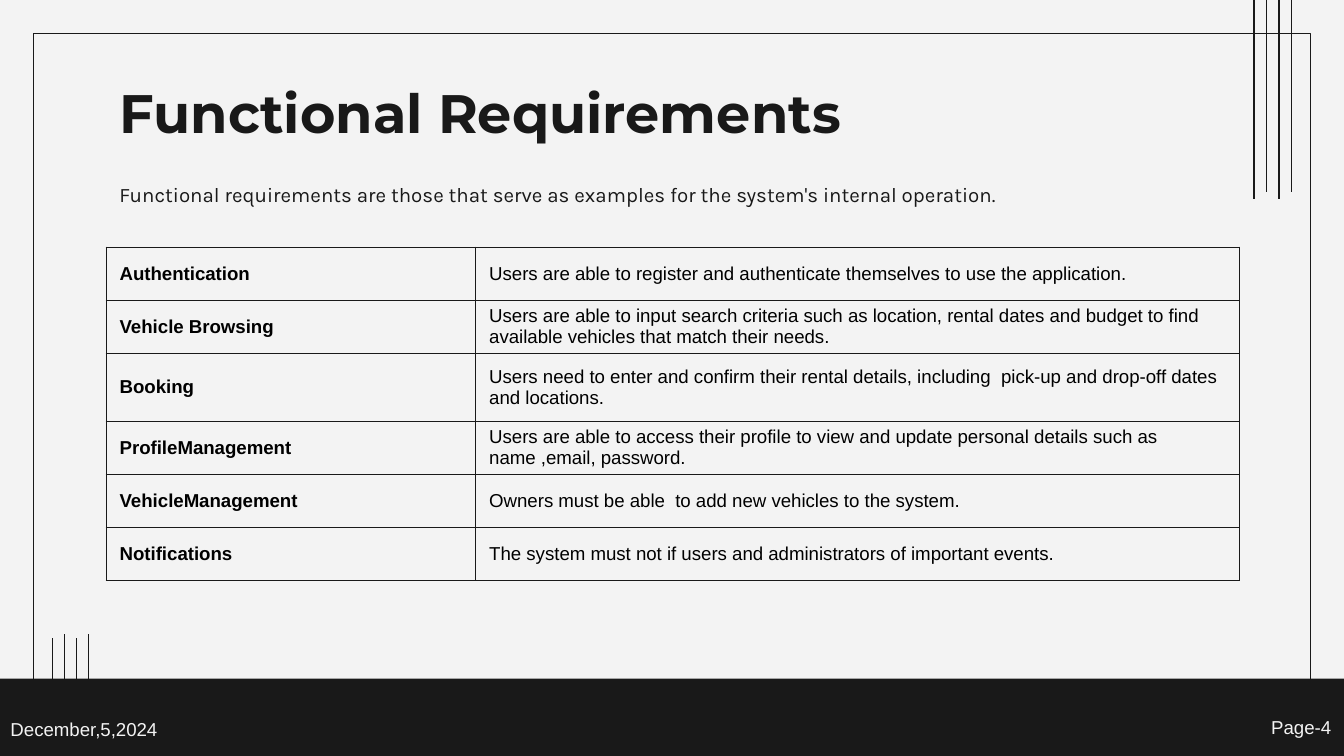
"""Builds the functional requirements slide."""
from lxml.etree import SubElement
from pptx import Presentation
from pptx.dml.color import RGBColor as RGB
from pptx.enum.shapes import MSO_CONNECTOR as CONN, MSO_SHAPE as SHAPE
from pptx.enum.text import MSO_ANCHOR as ANCHOR
from pptx.oxml.ns import qn
from pptx.util import Inches, Pt

THEME = {
    "paper": "F3F3F3", "ink": "191919", "black": "000000",
    "line": 0.75, "title": 29, "lead": 11, "small": 10,
    "heading": "Montserrat", "body": "Karla", "plain": "Arial",
}
TITLE = "Functional Requirements"
LEAD = "Functional requirements are those that serve as examples for the system's internal operation."
REQUIREMENTS = [
    ("Authentication", "Users are able to register and authenticate themselves to use the application."),
    ("Vehicle Browsing", "Users are able to input search criteria such as location, rental dates and budget to find available vehicles that match their needs."),
    ("Booking", "Users need to enter and confirm their rental details, including  pick-up and drop-off dates and locations."),
    ("ProfileManagement", "Users are able to access their profile to view and update personal details such as name ,email, password."),
    ("VehicleManagement", "Owners must be able  to add new vehicles to the system."),
    ("Notifications", "The system must not if users and administrators of important events."),
]
FOOTERS = [("Page-4", (9.36, 5.28, 0.81, 0.27)), ("December,5,2024", (-0.02, 5.29, 1.64, 0.27))]
LEFT, WIDTH = 0.79, 8.43
TABLE_TOP, TABLE_HEIGHT = 1.84, 2.48
COL_WIDTHS = [2.75, 5.68]
ROW_SHARES = [0.4, 0.4, 0.51, 0.4, 0.4, 0.4]
STRIPES = [
    {"x": 9.33, "span": 0.28, "tops": (-0.25, -0.3), "length": 1.73},
    {"x": 0.39, "span": 0.27, "tops": (4.75, 4.72), "length": 0.99},
]


def color(name):
    return RGB.from_string(THEME[name])


def write(tf, text, size="small", font="plain", ink="ink", bold=False):
    tf.word_wrap = True
    r = tf.paragraphs[0].add_run()
    r.text = text
    r.font.size, r.font.name, r.font.bold = Pt(THEME[size]), THEME[font], bold
    r.font.color.rgb = color(ink)


def add_text(s, box, text, inset=(0.1, 0.05), **style):
    tf = s.shapes.add_textbox(*map(Inches, box)).text_frame
    tf.margin_left = tf.margin_right = Inches(inset[0])
    tf.margin_top = tf.margin_bottom = Inches(inset[1])
    write(tf, text, **style)


def add_rect(s, box, fill, line=None):
    sp = s.shapes.add_shape(SHAPE.RECTANGLE, *map(Inches, box))
    sp.shadow.inherit = False
    sp.fill.solid()
    sp.fill.fore_color.rgb = color(fill)
    if line:
        sp.line.color.rgb = color(line)
        sp.line.width = Pt(THEME["line"])
    else:
        sp.line.fill.background()


def add_stripes(s, x, span, tops, length):
    for i in range(4):
        left, top = x + i * span / 3, tops[i % 2]
        ln = s.shapes.add_connector(CONN.STRAIGHT, *map(Inches, (left, top, left, top + length)))
        ln.line.color.rgb = color("ink")
        ln.line.width = Pt(THEME["line"])
        SubElement(ln._element.spPr, qn("a:effectLst"))


def add_borders(cell):
    tcPr = cell._tc.get_or_add_tcPr()
    for side in "LRTB":
        ln = SubElement(tcPr, qn(f"a:ln{side}"), w=str(Pt(THEME["line"])))
        fill = SubElement(ln, qn("a:solidFill"))
        SubElement(fill, qn("a:srgbClr"), val=THEME["ink"])


def add_requirements(s):
    box = (LEFT, TABLE_TOP, WIDTH, TABLE_HEIGHT)
    table = s.shapes.add_table(len(REQUIREMENTS), 2, *map(Inches, box)).table
    table.first_row = table.horz_banding = False
    for col, width in zip(table.columns, COL_WIDTHS):
        col.width = Inches(width)
    for row, share, texts in zip(table.rows, ROW_SHARES, REQUIREMENTS):
        row.height = Inches(TABLE_HEIGHT * share / sum(ROW_SHARES))
        for i, (cell, text) in enumerate(zip(row.cells, texts)):
            cell.margin_left = cell.margin_right = Inches(0.1)
            cell.margin_top = cell.margin_bottom = 0
            cell.vertical_anchor = ANCHOR.MIDDLE
            add_borders(cell)
            cell.fill.solid()
            cell.fill.fore_color.rgb = color("paper")
            write(cell.text_frame, text, ink="black", bold=i == 0)


def main():
    prs = Presentation()
    prs.slide_width = Inches(10)
    prs.slide_height = prs.slide_width * 9 // 16
    s = prs.slides.add_slide(prs.slide_layouts[6])
    s.background.fill.solid()
    s.background.fill.fore_color.rgb = color("paper")
    add_rect(s, (0.25, 0.25, 9.5, 5.13), "paper", line="ink")
    add_rect(s, (0, 5.05, 10, 0.58), "ink")
    for stripes in STRIPES:
        add_stripes(s, **stripes)
    add_text(s, (LEFT, 0.49, WIDTH, 0.63), TITLE, inset=(0.1, 0.1), size="title", font="heading", bold=True)
    add_text(s, (LEFT, 1.26, WIDTH, 0.35), LEAD, inset=(0.1, 0.1), size="lead", font="body")
    add_requirements(s)
    for text, box in FOOTERS:
        add_text(s, box, text, ink="paper")
    prs.save("out.pptx")


if __name__ == "__main__":
    main()
